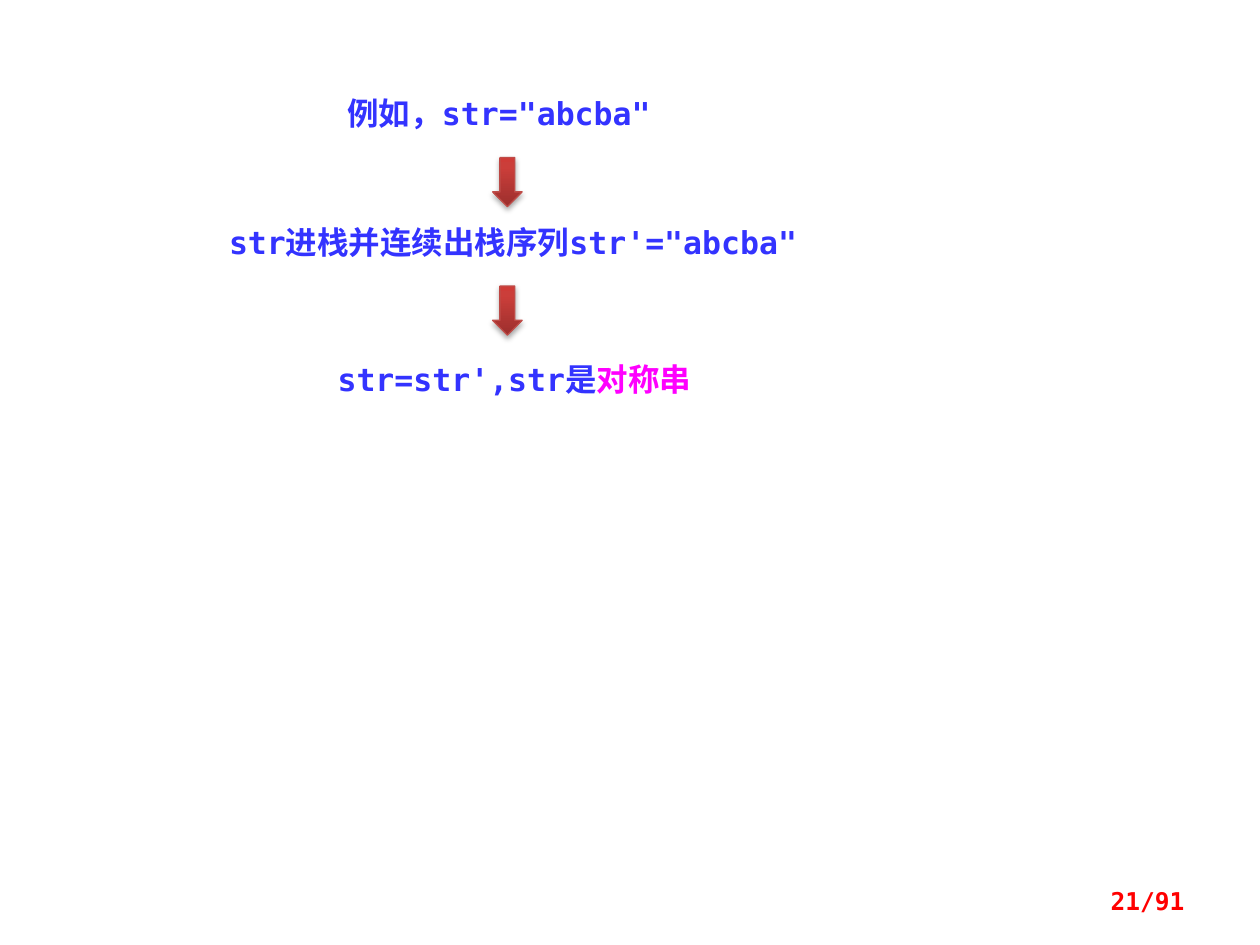
from copy import deepcopy

from lxml import etree
from pptx import Presentation
from pptx.dml.color import RGBColor
from pptx.enum.shapes import MSO_SHAPE
from pptx.enum.text import MSO_ANCHOR, MSO_AUTO_SIZE, PP_ALIGN
from pptx.oxml import parse_xml
from pptx.oxml.ns import qn
from pptx.util import Pt

BLUE = RGBColor(0x33, 0x33, 0xFF)
MAGENTA = RGBColor(0xFF, 0x00, 0xFF)
RED = RGBColor(0xFF, 0x00, 0x00)
ARROW_LINE = RGBColor(0xBF, 0x4C, 0x48)
ARROW_STOPS = [
    (0, RGBColor(0x9C, 0x2F, 0x2D)),
    (0.8, RGBColor(0xCB, 0x3E, 0x3A)),
    (1, RGBColor(0xCE, 0x3B, 0x37)),
]
FONT = "DejaVu Sans Mono"
ARROW_SHADOW = (
    '<a:outerShdw xmlns:a="http://schemas.openxmlformats.org/drawingml/2006/main"'
    ' blurRad="40000" dist="23000" dir="5400000" rotWithShape="0">'
    '<a:srgbClr val="000000"><a:alpha val="35000"/></a:srgbClr></a:outerShdw>'
)


def add_text(slide, left, top, width, parts, size):
    """Add a one-line text box made of (text, colour) parts."""
    box = slide.shapes.add_textbox(Pt(left), Pt(top), Pt(width), Pt(29))
    paragraph = box.text_frame.paragraphs[0]
    for text, colour in parts:
        run = paragraph.add_run()
        run.text = text
        run.font.name = FONT
        run.font.size = Pt(size)
        run.font.bold = True
        run.font.color.rgb = colour
    return box


presentation = Presentation()
presentation.slide_width = Pt(720)
presentation.slide_height = Pt(540)
slide = presentation.slides.add_slide(presentation.slide_layouts[6])

# Steps of the example
steps = [
    (191.5, 50.4, 247.7, [('例如，str="abcba"', BLUE)]),
    (123.8, 123.8, 399.6, [("str进栈并连续出栈序列str'=\"abcba\"", BLUE)]),
    (185.8, 202.3, 253.4, [("str=str',str是", BLUE), ("对称串", MAGENTA)]),
]
for left, top, width, parts in steps:
    box = add_text(slide, left, top, width, parts, 18)
    box.text_frame.word_wrap = True
    box.text_frame.auto_size = MSO_AUTO_SIZE.SHAPE_TO_FIT_TEXT

# Arrows between the steps
for top in (90, 163.4):
    arrow = slide.shapes.add_shape(
        MSO_SHAPE.DOWN_ARROW, Pt(281.5), Pt(top), Pt(16.9), Pt(28.1))
    arrow.line.color.rgb = ARROW_LINE
    arrow.line.width = Pt(0.75)

    # Three-stop gradient, darkest at the tip
    arrow.fill.gradient()
    arrow.fill.gradient_angle = 90
    stop_list = arrow._element.spPr.find(".//" + qn("a:gsLst"))
    stop_list.append(deepcopy(stop_list[-1]))
    for stop, (position, colour) in zip(arrow.fill.gradient_stops, ARROW_STOPS):
        stop.position = position
        stop.color.rgb = colour

    # Soft shadow below
    arrow.shadow.inherit = False
    effects = arrow._element.spPr.find(qn("a:effectLst"))
    effects.append(parse_xml(ARROW_SHADOW))

# Page number
page_number = add_text(slide, 516.2, 500.4, 167.8, [("21/91", RED)], 14)
page_number.text_frame.word_wrap = True
page_number.text_frame.vertical_anchor = MSO_ANCHOR.MIDDLE
page_number.text_frame.paragraphs[0].alignment = PP_ALIGN.RIGHT

presentation.save("out.pptx")
